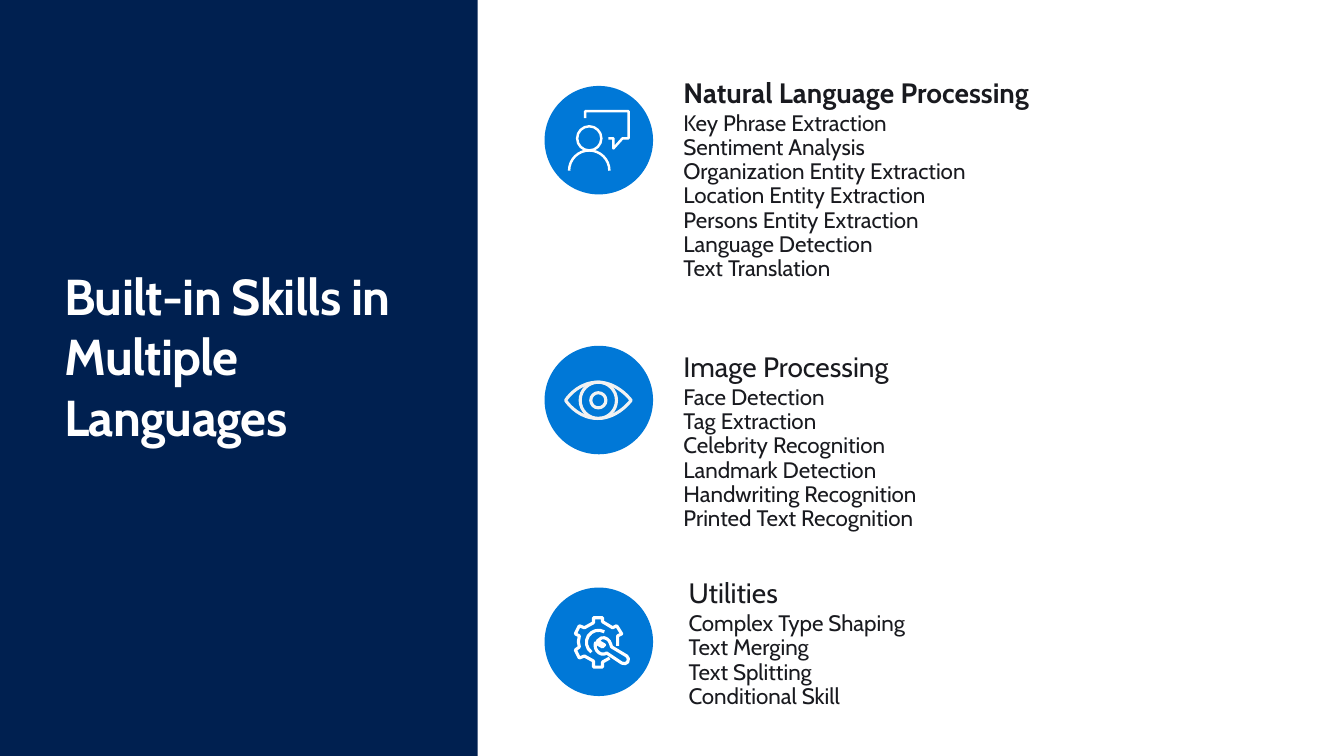
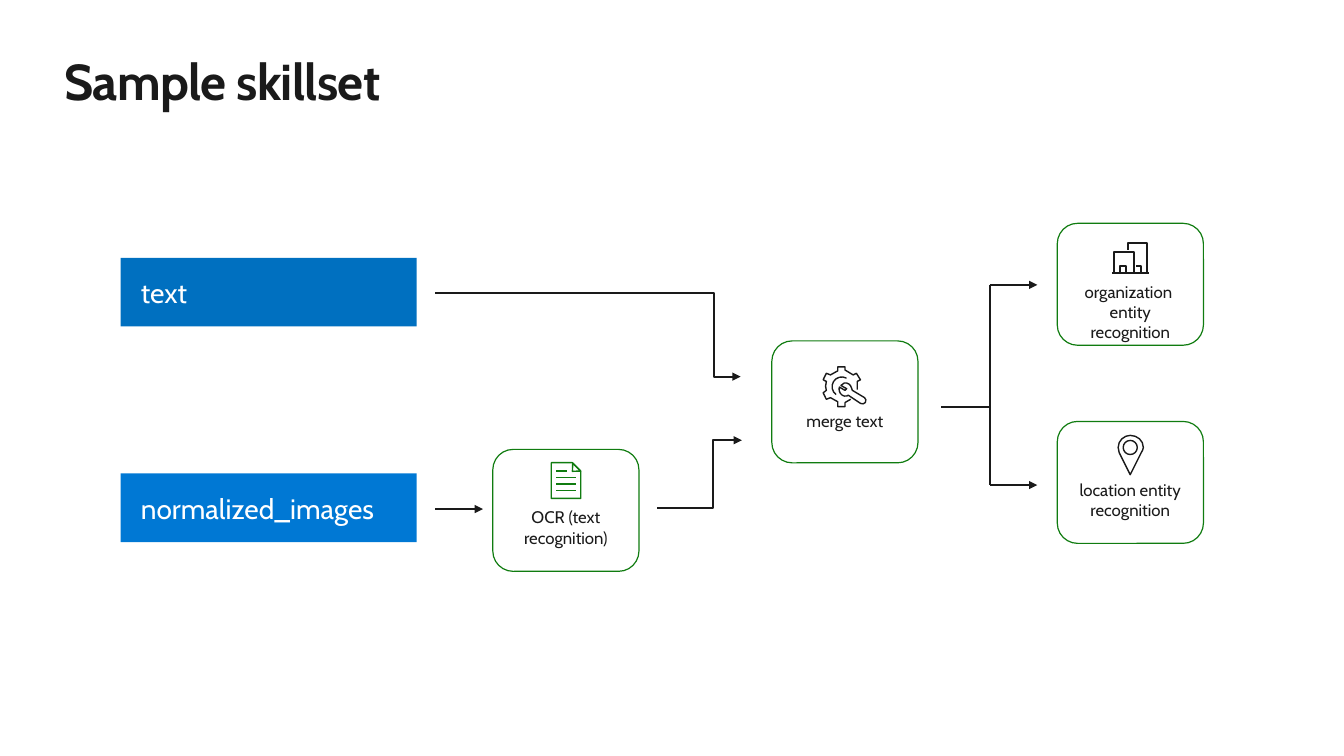
import math
from lxml import etree
from pptx import Presentation
from pptx.dml.color import RGBColor
from pptx.enum import shapes as kinds, text as modes
from pptx.oxml.ns import qn
from pptx.util import Pt

FONT = "Cabin"
WHITE = RGBColor(0xFF, 0xFF, 0xFF)
PALE = RGBColor(0xF2, 0xF2, 0xF2)
INK = RGBColor(0x1A, 0x1A, 0x1A)
LIST_INK = RGBColor(0x19, 0x1A, 0x1F)
NAVY = RGBColor(0x00, 0x20, 0x50)
CIRCLE_BLUE = RGBColor(0x00, 0x78, 0xD7)
TEXT_BLUE = RGBColor(0x00, 0x70, 0xC0)
IMAGE_BLUE = RGBColor(0x00, 0x78, 0xD4)
GREEN = RGBColor(0x10, 0x7C, 0x10)

ICON_UNIT = 0.72
SMALL_GEAR_UNIT = 0.58
NODE_WIDTH, NODE_HEIGHT = 104.4, 87.1
CIRCLE_SIZE = 77.5


def arc(x, y, radius, start=0, end=360):
    """Start point, then Bezier triples along a circle; degrees, clockwise."""
    count = math.ceil(abs(end - start) / 90)
    step = math.radians((end - start) / count)
    pull = 4 / 3 * math.tan(step / 4)

    def at(angle, lean=0):
        return (x + radius * (math.cos(angle) - lean * math.sin(angle)),
                y + radius * (math.sin(angle) + lean * math.cos(angle)))

    angles = [math.radians(start) + step * i for i in range(count + 1)]
    return [at(angles[0])] + [(at(a, pull), at(b, -pull), at(b))
                              for a, b in zip(angles, angles[1:])]


# An outline is a start point, then points (lines) or triples (Bezier curves).
# One that ends where it starts is closed.
PERSON = [
    [(16, 7), (16, 0), (59, 0), (59, 27), (53, 27), (44, 37), (44, 27), (39, 27)],
    arc(20, 27, 12),
    arc(20, 59, 20, 180, 360),
]
EYE = [
    [(0, 18), ((4, 12), (15, 0), (32, 0)), ((52, 0), (65, 18), (65, 18)),
     ((65, 18), (52, 36), (32, 36)), ((15, 36), (4, 24), (0, 18))],
    arc(32.5, 18, 18),
    arc(32.5, 18, 7.5),
]
GEAR = [
    [(34, 40), (27, 44), (27, 49), (18, 49), (18, 43), (9, 38), (4, 40), (0, 32),
     (4, 29), (3, 24), (4, 18), (0, 16), (4, 8), (9, 10), (18, 5), (18, 0), (27, 0),
     (27, 4), (37, 10), (41, 8), (46, 16), (42, 18), (42, 28)],
    arc(23, 24.5, 12, -61, -234),
    [(31, 35), (46, 45), ((48, 46), (51, 46), (52, 44)), ((53, 42), (53, 39), (51, 38)),
     (36, 29), (35, 26), ((34, 22), (30, 19), (26, 20)), (22, 23), (29, 27), (27, 29),
     (20, 25), ((20, 26), (19, 28), (20, 30)), ((21, 34), (25, 37), (29, 36)), (31, 35)],
]
TOWER = [[(16, 7), (16, 0), (35, 0), (35, 30), (16, 30)]]
TOWER_DOOR = [[(24, 23), (29, 23), (29, 30)]]
PIN = [
    [(23, 17), (12, 39), (1, 17), ((1, 15), (0, 14), (0, 12)),
     ((0, 5), (6, 0), (12, 0)), ((19, 0), (25, 5), (25, 12)),
     ((25, 14), (24, 15), (23, 17))],
    arc(12, 12, 7),
]


def set_outline(shape, color, weight):
    shape.shadow.inherit = False
    shape.fill.background()
    shape.line.color.rgb = color
    shape.line.width = Pt(weight)


def add_icon(page, outlines, left, top, color, weight, unit=ICON_UNIT):
    def place(point):
        return (left + point[0] * unit) * 100, (top + point[1] * unit) * 100

    builder = page.shapes.build_freeform(*place(outlines[0][0]), scale=Pt(1) / 100)
    steps = []
    for number, (start, *segments) in enumerate(outlines):
        if number:
            builder.move_to(*place(start))
        triples = [s if isinstance(s[0], tuple) else (s,) for s in segments]
        steps += [len(triple) for triple in triples]
        closed = math.dist(start, triples[-1][-1]) < 0.01
        builder.add_line_segments([place(p) for triple in triples for p in triple],
                                  close=closed)
    icon = builder.convert_to_shape()
    set_outline(icon, color, weight)
    lines = iter(list(icon._element.iter(qn("a:lnTo"))))
    for step in steps:
        group = [next(lines) for _ in range(step)]
        if step == 3:
            bend = etree.Element(qn("a:cubicBezTo"))
            group[0].addprevious(bend)
            for line in group:
                bend.append(line[0])
                line.getparent().remove(line)


def add_outlined(page, kind, left, top, width, height, color, weight=1):
    shape = page.shapes.add_shape(kind, *map(Pt, (left, top, width, height)))
    set_outline(shape, color, weight)
    return shape


def draw_document(page, left, top):
    sheet = add_outlined(page, kinds.MSO_SHAPE.SNIP_1_RECTANGLE, left, top, 21, 25.5, GREEN)
    sheet.adjustments[0] = 0.29
    fold = add_outlined(page, kinds.MSO_SHAPE.ISOSCELES_TRIANGLE,
                        left + 12.6, top + 2.5, 8, 4.3, GREEN)
    fold.rotation = 225
    fold._element.spPr.find(qn("a:xfrm")).set("flipH", "1")
    for row, length in enumerate((8, 14.5, 14.5, 14.5)):
        y = top + 5.9 + 4.6 * row
        add_link(page, (left + 3.5, y), (left + 3.5 + length, y),
                 arrow=False, color=GREEN, weight=1)


def draw_buildings(page, left, top):
    add_link(page, (left, top + 21.4), (left + 26.6, top + 21.4), arrow=False, weight=1)
    for x, y, width, height in ((1.5, 6.4, 14.4, 15), (5.8, 16.4, 4.3, 5)):
        add_outlined(page, kinds.MSO_SHAPE.RECTANGLE, left + x, top + y, width, height, INK)
    for outlines in (TOWER, TOWER_DOOR):
        add_icon(page, outlines, left, top, INK, 1)


def draw_pin(page, left, top):
    add_icon(page, PIN, left, top, INK, 1)


def draw_small_gear(page, left, top):
    add_icon(page, GEAR, left, top, INK, 1, SMALL_GEAR_UNIT)


def place_box(box, left, top, width, height):
    box.left, box.top, box.width, box.height = map(Pt, (left, top, width, height))


def set_frame(frame, anchor, side=0, end=0, wrap=True):
    frame.word_wrap = wrap
    frame.auto_size = modes.MSO_AUTO_SIZE.NONE
    frame.vertical_anchor = anchor
    frame.margin_left = frame.margin_right = Pt(side)
    frame.margin_top = frame.margin_bottom = Pt(end)


def style_para(para, size, color, bold=False, align=modes.PP_ALIGN.LEFT):
    para.alignment = align
    for span in para.runs:
        span.font.name = FONT
        span.font.size = Pt(size)
        span.font.bold = bold
        span.font.color.rgb = color


def add_solid(page, kind, left, top, width, height, color):
    shape = page.shapes.add_shape(kind, *map(Pt, (left, top, width, height)))
    shape.shadow.inherit = False
    shape.fill.solid()
    shape.fill.fore_color.rgb = color
    shape.line.fill.background()
    return shape


def set_title(page, words, color, *box):
    title = page.shapes.title
    place_box(title, *box)
    set_frame(title.text_frame, modes.MSO_ANCHOR.MIDDLE)
    title.text_frame.text = words
    para = title.text_frame.paragraphs[0]
    style_para(para, 36, color, bold=True)
    para.runs[0]._r.get_or_add_rPr().set("spc", "-50")


def fill_skill_list(body, heading, skills, box, side, bold):
    place_box(body, *box)
    frame = body.text_frame
    set_frame(frame, modes.MSO_ANCHOR.TOP, side, 11.5)
    frame.text = heading + "\n" + "\v".join(skills)
    for number, para in enumerate(frame.paragraphs):
        properties = para._p.get_or_add_pPr()
        properties.set("marL", "0")
        properties.set("indent", "0")
        etree.SubElement(properties, qn("a:buNone"))
        para.line_spacing = 0.9
        para.space_before = Pt(2 * number)
        para.space_after = Pt(0)
        para.font.size = Pt(16 if number else 20)
        style_para(para, 16 if number else 20, LIST_INK, bold and number == 0)


def add_source_bar(page, words, top, color):
    bar = add_solid(page, kinds.MSO_SHAPE.RECTANGLE, 86.2, top, 211.5, 49, color)
    set_frame(bar.text_frame, modes.MSO_ANCHOR.MIDDLE, 14.4)
    bar.text_frame.text = words
    style_para(bar.text_frame.paragraphs[0], 20, WHITE)


def add_node(page, left, top, label, label_top, label_width, draw_icon, icon_at):
    """Rounded skill box; label and icon are placed relative to its corner."""
    add_outlined(page, kinds.MSO_SHAPE.ROUNDED_RECTANGLE, left, top,
                 NODE_WIDTH, NODE_HEIGHT, GREEN, 0.85)
    box = page.shapes.add_textbox(
        *map(Pt, (left + (NODE_WIDTH - label_width) / 2, top + label_top,
                  label_width, 21.6 + 14.4 * label.count("\v"))))
    set_frame(box.text_frame, modes.MSO_ANCHOR.TOP, 7.2, 3.6, wrap=False)
    box.text_frame.text = label
    style_para(box.text_frame.paragraphs[0], 12, INK, align=modes.PP_ALIGN.CENTER)
    draw_icon(page, left + icon_at[0], top + icon_at[1])


def add_link(page, start, end, bend=None, arrow=True, color=INK, weight=1.5):
    """Line from start to end; bend is the x of an elbow's upright part."""
    kind = kinds.MSO_CONNECTOR.STRAIGHT if bend is None else kinds.MSO_CONNECTOR.ELBOW
    link = page.shapes.add_connector(kind, *map(Pt, (*start, *end)))
    link.line.color.rgb = color
    link.line.width = Pt(weight)
    properties = link._element.spPr
    if arrow:
        etree.SubElement(properties.find(qn("a:ln")), qn("a:tailEnd"), type="triangle")
    if bend is not None:
        share = round((bend - start[0]) / (end[0] - start[0]) * 100000)
        guides = properties.find(qn("a:prstGeom")).find(qn("a:avLst"))
        etree.SubElement(guides, qn("a:gd"), name="adj1", fmla=f"val {share}")
    etree.SubElement(properties, qn("a:effectLst"))


def build_skills_page(deck):
    page = deck.slides.add_slide(deck.slide_layouts.get_by_name("Comparison"))
    panel = add_solid(page, kinds.MSO_SHAPE.RECTANGLE, 0, 0, 341.3, 540, NAVY)
    page.shapes._spTree.insert(2, panel._element)
    set_title(page, "Built-in Skills in Multiple Languages", WHITE, 46, 188.5, 245, 131)

    groups = [
        ("Natural Language Processing",
         ["Key Phrase Extraction", "Sentiment Analysis",
          "Organization Entity Extraction", "Location Entity Extraction",
          "Persons Entity Extraction", "Language Detection", "Text Translation"],
         (473.8, 44.9, 407.5, 186.5), 14.4, True, 61.4, PERSON, (17.5, 18), WHITE, 1.75),
        ("Image Processing",
         ["Face Detection", "Tag Extraction", "Celebrity Recognition",
          "Landmark Detection", "Handwriting Recognition", "Printed Text Recognition"],
         (473.8, 240.8, 424, 168.5), 14.4, False, 247, EYE, (15, 26), PALE, 2.25),
        ("Utilities",
         ["Complex Type Shaping", "Text Merging", "Text Splitting", "Conditional Skill"],
         (473.8, 402.3, 384, 134), 18, False, 419.7, GEAR, (22, 21.5), WHITE, 2.25),
    ]
    bodies = list(page.placeholders)[1:]
    for body, group in zip(bodies, groups):
        heading, skills, box, side, bold, top, outlines, offset, color, weight = group
        fill_skill_list(body, heading, skills, box, side, bold)
        add_solid(page, kinds.MSO_SHAPE.OVAL, 389, top, CIRCLE_SIZE, CIRCLE_SIZE,
                  CIRCLE_BLUE)
        add_icon(page, outlines, 389 + offset[0], top + offset[1], color, weight)
    for spare in bodies[len(groups):]:
        spare._element.getparent().remove(spare._element)


def build_skillset_page(deck):
    page = deck.slides.add_slide(deck.slide_layouts.get_by_name("Title Only"))
    set_title(page, "Sample skillset", INK, 46, 35.3, 868, 44)
    add_source_bar(page, "text", 184.2, TEXT_BLUE)
    add_source_bar(page, "normalized_images", 338.2, IMAGE_BLUE)

    for node in (
        (352, 321, "OCR (text\vrecognition)", 37.7, 79, draw_document, (41.8, 9.5)),
        (551.3, 243.5, "merge text", 46, 72, draw_small_gear, (36.7, 18.5)),
        (755.2, 159.5, "organization \ventity\vrecognition", 38, 84,
         draw_buildings, (39, 14)),
        (755.2, 301, "location entity\vrecognition", 38, 91, draw_pin, (43.5, 10)),
    ):
        add_node(page, *node)

    add_link(page, (311, 363.6), (345, 363.6))
    add_link(page, (311, 209), (529, 269), bend=510)
    add_link(page, (469.5, 363), (530, 314.5), bend=509.5)
    add_link(page, (672.5, 291), (707, 291), arrow=False)
    add_link(page, (707, 203.5), (707, 346.5), arrow=False)
    for y in (203.5, 346.5):
        add_link(page, (707, y), (741, y))


def main():
    deck = Presentation()
    deck.slide_width, deck.slide_height = Pt(960), Pt(540)
    build_skills_page(deck)
    build_skillset_page(deck)
    deck.save("out.pptx")


if __name__ == "__main__":
    main()
